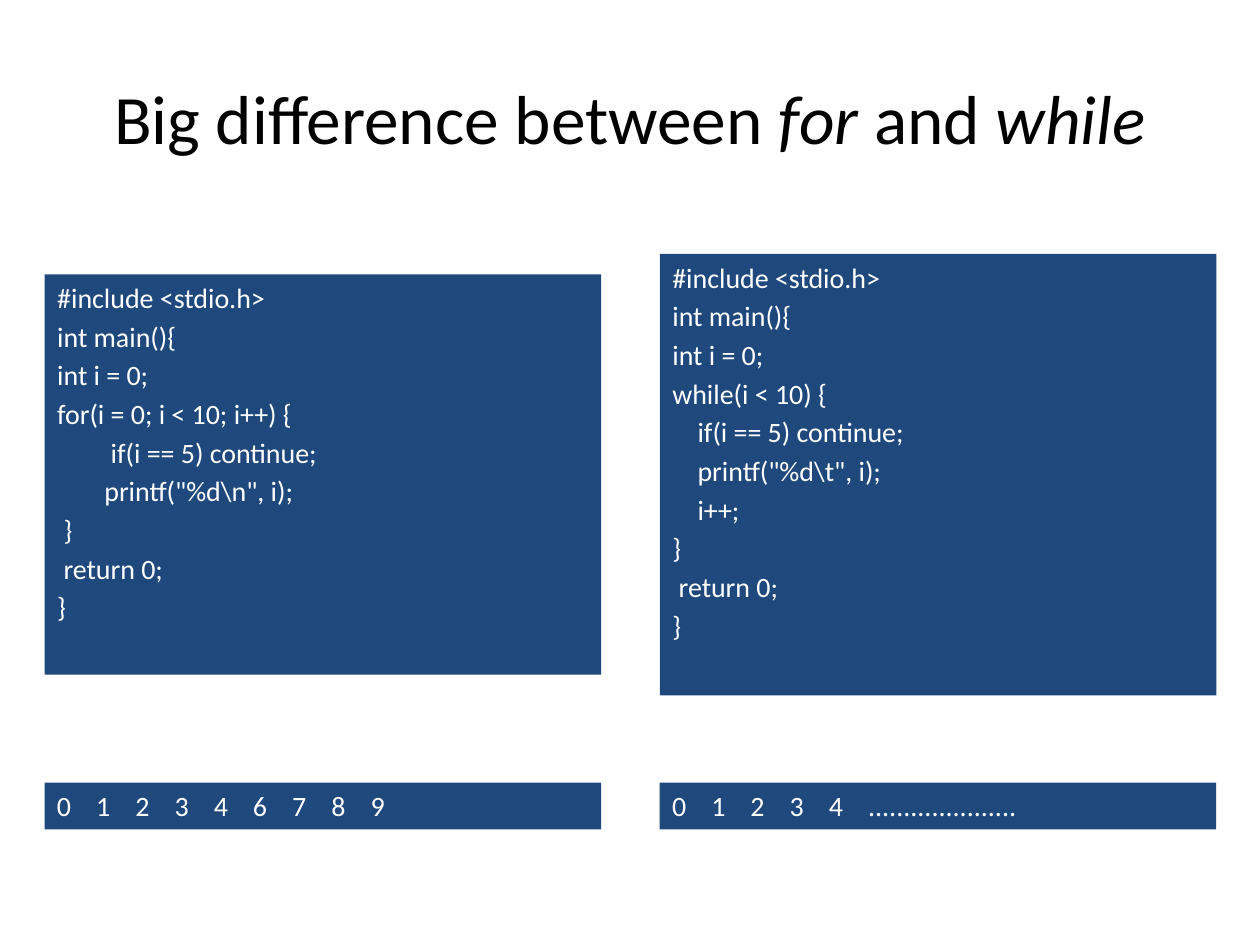
from dataclasses import dataclass

from lxml import etree
from pptx import Presentation
from pptx.dml.color import RGBColor
from pptx.enum.text import MSO_ANCHOR, MSO_AUTO_SIZE, PP_ALIGN
from pptx.oxml.ns import qn
from pptx.util import Cm, Pt

CENTER, LEFT = PP_ALIGN.CENTER, PP_ALIGN.LEFT
TOP, MIDDLE = MSO_ANCHOR.TOP, MSO_ANCHOR.MIDDLE
NO_FIT = MSO_AUTO_SIZE.NONE
TWO_CONTENT = 3


@dataclass(frozen=True)
class Theme:
    font: str = "Calibri"
    ink: RGBColor = RGBColor(0, 0, 0)
    panel: RGBColor = RGBColor(0x1F, 0x49, 0x7D)
    panel_text: RGBColor = RGBColor(255, 255, 255)
    title_size: float = 39.6
    code_size: float = 16
    line_gap: float = 2.9
    hanging: float = 0.95
    tab_step: float = 0.79


class PageBuilder:
    def __init__(self, page, theme):
        self.page = page
        self.theme = theme

    def place(self, box, left, top, width, height):
        box.left, box.top = Cm(left), Cm(top)
        box.width, box.height = Cm(width), Cm(height)

    def add_span(self, para, text, size, color, italic=False):
        span = para.add_run()
        span.text = text
        span.font.name = self.theme.font
        span.font.size = Pt(size)
        span.font.color.rgb = color
        span.font.italic = italic

    def set_frame(self, box, anchor):
        frame = box.text_frame
        frame.word_wrap = True
        frame.auto_size = NO_FIT
        frame.vertical_anchor = anchor
        return frame

    def title(self, spans, *place):
        box = self.page.shapes.title
        self.place(box, *place)
        para = self.set_frame(box, MIDDLE).paragraphs[0]
        para.alignment = CENTER
        for text, italic in spans:
            self.add_span(para, text, self.theme.title_size, self.theme.ink, italic)

    def panel(self, box):
        box.fill.solid()
        box.fill.fore_color.rgb = self.theme.panel
        return self.set_frame(box, TOP)

    def panel_line(self, para, text):
        para.alignment = LEFT
        self.add_span(para, text, self.theme.code_size, self.theme.panel_text)

    def code(self, index, source, *place):
        box = self.page.placeholders[index]
        self.place(box, *place)
        frame = self.panel(box)
        for number, line in enumerate(source):
            para = frame.add_paragraph() if number else frame.paragraphs[0]
            para.space_before = Pt(self.theme.line_gap if number else 0)
            # Hanging indent without a bullet
            settings = para._p.get_or_add_pPr()
            settings.set("marL", str(Cm(self.theme.hanging)))
            settings.set("indent", str(-Cm(self.theme.hanging)))
            etree.SubElement(settings, qn("a:buNone"))
            self.panel_line(para, line)

    def output(self, values, *place):
        box = self.page.shapes.add_textbox(*map(Cm, place))
        para = self.panel(box).paragraphs[0]
        # One tab stop for each value after the first
        tabs = etree.SubElement(para._p.get_or_add_pPr(), qn("a:tabLst"))
        for number in range(1, len(values)):
            stop = etree.SubElement(tabs, qn("a:tab"))
            stop.set("pos", str(Cm(self.theme.tab_step * number)))
            stop.set("algn", "l")
        self.panel_line(para, "\t".join(values))


FOR_CODE = [
    "#include <stdio.h>",
    "int main(){",
    "int i = 0;",
    "for(i = 0; i < 10; i++) {",
    "\t if(i == 5) continue;",
    "\tprintf(\"%d\\n\", i);",
    " }",
    " return 0;",
    "}",
]
WHILE_CODE = [
    "#include <stdio.h>",
    "int main(){",
    "int i = 0;",
    "while(i < 10) {",
    "    if(i == 5) continue;",
    "    printf(\"%d\\t\", i);",
    "    i++;",
    "}",
    " return 0;",
    "}",
]
TITLE = [("Big difference between ", False), ("for ", True), ("and ", False), ("while", True)]


def main():
    deck = Presentation()
    deck.slide_width, deck.slide_height = Cm(25.4), Cm(19.05)
    page = deck.slides.add_slide(deck.slide_layouts[TWO_CONTENT])
    builder = PageBuilder(page, Theme())
    builder.title(TITLE, 1.27, 0.76, 22.86, 3.18)

    # Two columns: code above, its output below
    left, right, width = 0.9, 13.3, 11.22
    output_top, output_height = 15.78, 0.94
    builder.code(2, WHILE_CODE, right, 5.12, width, 8.9)
    builder.code(1, FOR_CODE, left, 5.53, width, 8.07)
    builder.output(list("012346789"), left, output_top, width, output_height)
    builder.output([*"01234", "....................."], right, output_top, width, output_height)

    deck.save("out.pptx")


if __name__ == "__main__":
    main()
